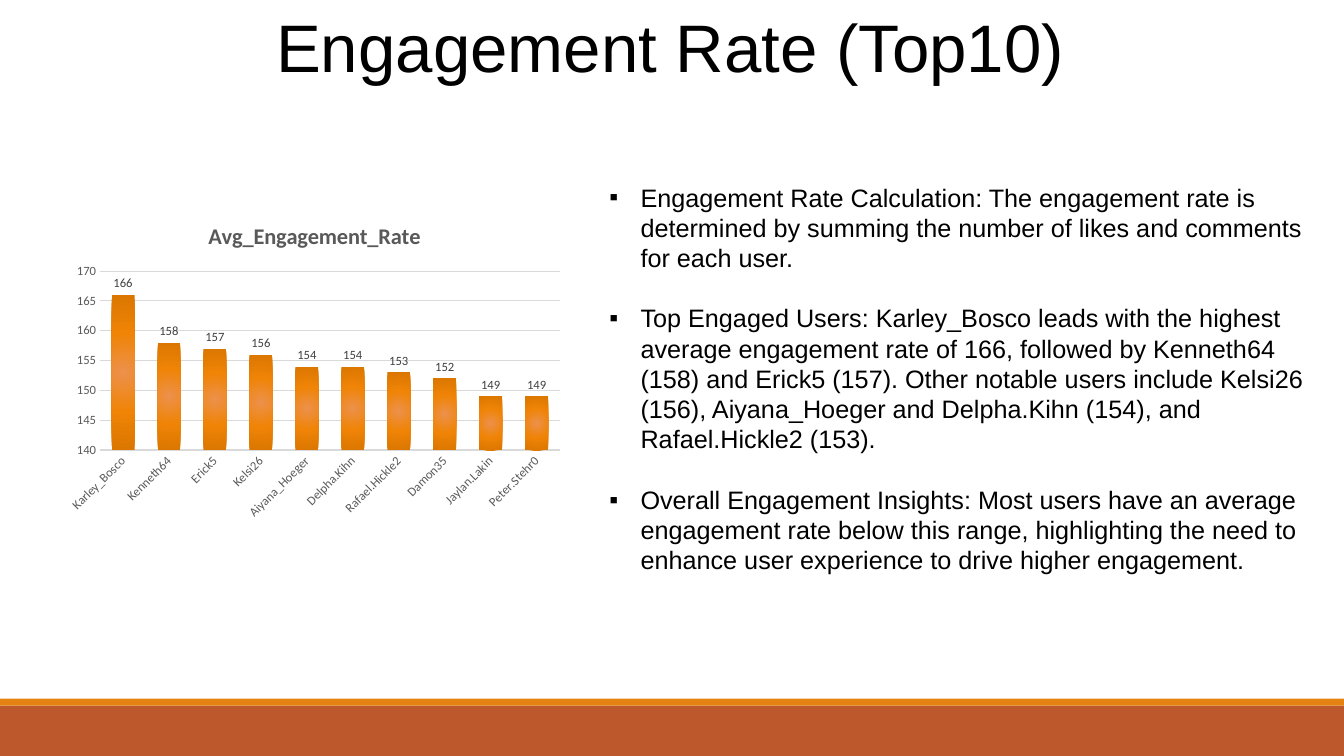
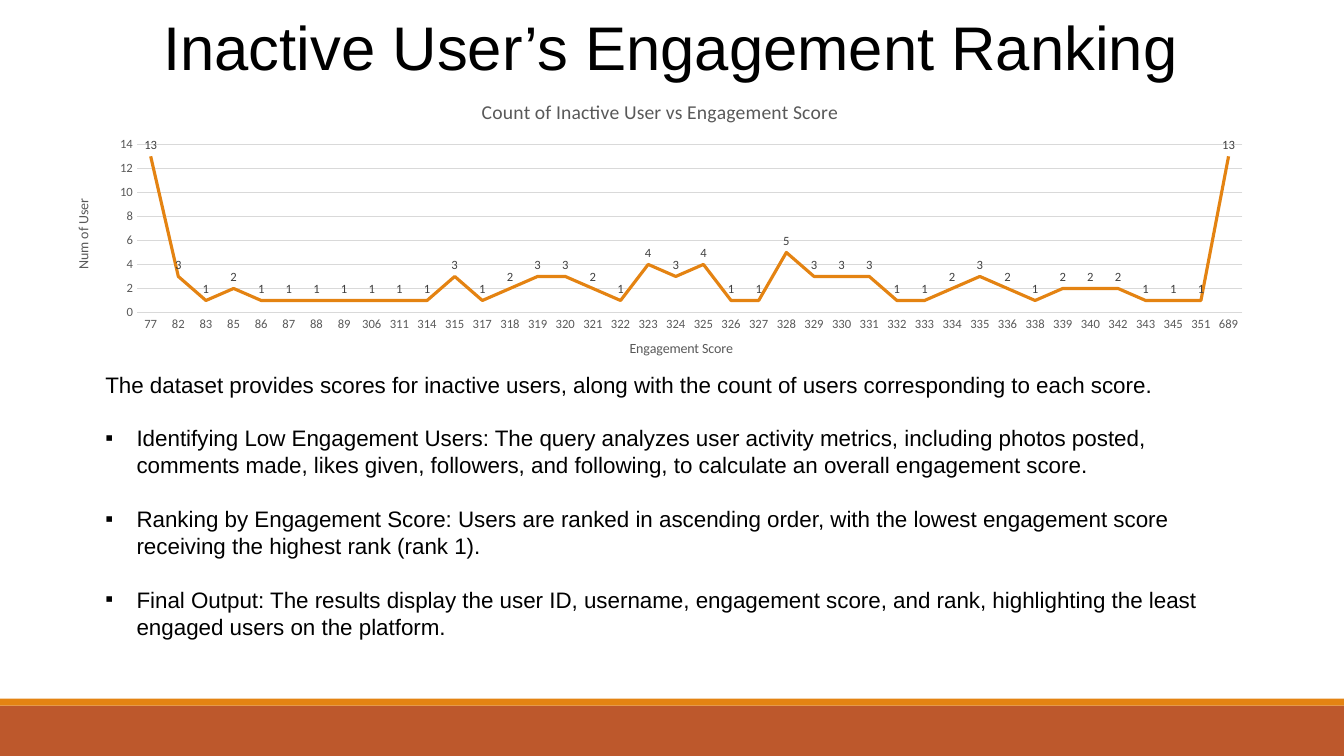
from dataclasses import dataclass

from pptx import Presentation, util as u
from pptx.chart.data import CategoryChartData
from pptx.dml.color import RGBColor
from pptx.enum import chart as charts, shapes, text
from pptx.oxml import parse_xml
from pptx.oxml.ns import nsdecls, qn

SLIDE_WIDTH, SLIDE_HEIGHT = u.Inches(13.33), u.Inches(7.5)
TITLE_ONLY = 5
TEXT_FONT, CHART_FONT = "Arial", "Calibri"
BLACK, ORANGE, RUST = "000000", "E48312", "BD582C"
AXIS_GREY, LABEL_GREY, GRID_GREY = "595959", "404040", "D9D9D9"
BAR_GRADIENT = ((0, "ED914C"), (50, "EF8407"), (100, "DB7600"))
BULLET = "▪"
BULLET_INDENT = u.Inches(0.31)
LINE_HEIGHT = 1.2


@dataclass(frozen=True)
class Box:
    """A frame in percent of the slide's width and height."""
    left: float
    top: float
    width: float
    height: float

    def lengths(self) -> tuple[int, int, int, int]:
        return (int(SLIDE_WIDTH * self.left / 100), int(SLIDE_HEIGHT * self.top / 100),
                int(SLIDE_WIDTH * self.width / 100), int(SLIDE_HEIGHT * self.height / 100))


@dataclass(frozen=True)
class Band:
    box: Box
    color: str


@dataclass(frozen=True)
class Title:
    words: str
    box: Box
    size: int


@dataclass(frozen=True)
class Body:
    box: Box
    size: int
    bullets: tuple[str, ...]
    intro: str = ""


@dataclass(frozen=True)
class Chart:
    kind: charts.XL_CHART_TYPE
    box: Box
    title: str
    title_size: int
    title_bold: bool
    categories: tuple[str, ...]
    values: tuple[int, ...]
    scale: tuple[int, int, int]
    label_position: charts.XL_LABEL_POSITION
    axis_line: float
    category_title: str = ""
    value_title: str = ""


@dataclass(frozen=True)
class Page:
    title: Title
    body: Body
    chart: Chart


BANDS = (
    Band(Box(0, 93.33, 100, 6.67), RUST),
    Band(Box(0, 92.4, 100, 0.93), ORANGE),
)

PAGES = (
    Page(
        Title("Engagement Rate (Top10)", Box(19.8, 0, 60.5, 12.1), 48),
        Body(Box(44.6, 23.4, 53.6, 53.9), 18, (
            "Engagement Rate Calculation: The engagement rate is determined by summing "
            "the number of likes and comments for each user.",
            "Top Engaged Users: Karley_Bosco leads with the highest average engagement "
            "rate of 166, followed by Kenneth64 (158) and Erick5 (157). Other notable "
            "users include Kelsi26 (156), Aiyana_Hoeger and Delpha.Kihn (154), and "
            "Rafael.Hickle2 (153).",
            "Overall Engagement Insights: Most users have an average engagement rate "
            "below this range, highlighting the need to enhance user experience to "
            "drive higher engagement.",
        )),
        Chart(
            charts.XL_CHART_TYPE.COLUMN_CLUSTERED, Box(4.4, 27.1, 38, 42.5),
            "Avg_Engagement_Rate", 16, True,
            ("Karley_Bosco", "Kenneth64", "Erick5", "Kelsi26", "Aiyana_Hoeger",
             "Delpha.Kihn", "Rafael.Hickle2", "Damon35", "Jaylan.Lakin", "Peter.Stehr0"),
            (166, 158, 157, 156, 154, 154, 153, 152, 149, 149),
            (140, 170, 5), charts.XL_LABEL_POSITION.OUTSIDE_END, 1,
        ),
    ),
    Page(
        Title("Inactive User’s Engagement Ranking", Box(11.4, 0.4, 77.2, 11.2), 44),
        Body(Box(7.1, 48.4, 85.7, 37.2), 16, (
            "Identifying Low Engagement Users: The query analyzes user activity metrics, "
            "including photos posted, comments made, likes given, followers, and "
            "following, to calculate an overall engagement score.",
            "Ranking by Engagement Score: Users are ranked in ascending order, with the "
            "lowest engagement score receiving the highest rank (rank 1).",
            "Final Output: The results display the user ID, username, engagement score, "
            "and rank, highlighting the least engaged users on the platform.",
        ), "The dataset provides scores for inactive users, along with the count of "
           "users corresponding to each score."),
        Chart(
            charts.XL_CHART_TYPE.LINE, Box(4, 11.1, 90.25, 38.9),
            "Count of Inactive User vs Engagement Score", 14, False,
            tuple("77 82 83 85 86 87 88 89 306 311 314 315 317 318 319 320 321 322 323 324 "
                  "325 326 327 328 329 330 331 332 333 334 335 336 338 339 340 342 343 345 "
                  "351 689".split()),
            (13, 3, 1, 2, 1, 1, 1, 1, 1, 1, 1, 3, 1, 2, 3, 3, 2, 1, 4, 3,
             4, 1, 1, 5, 3, 3, 3, 1, 1, 2, 3, 2, 1, 2, 2, 2, 1, 1, 1, 13),
            (0, 14, 2), charts.XL_LABEL_POSITION.ABOVE, 0.75,
            "Engagement Score", "Num of User",
        ),
    ),
)


def rgb(color: str) -> RGBColor:
    return RGBColor.from_string(color)


def style_font(font, name: str, size: float, color: str, bold: bool = False) -> None:
    font.name, font.size, font.bold = name, u.Pt(size), bold
    font.color.rgb = rgb(color)


def add_run(paragraph, words: str, name: str, size: float, color: str,
            bold: bool = False) -> None:
    run = paragraph.add_run()
    run.text = words
    style_font(run.font, name, size, color, bold)


def add_master_bands(presentation, slide) -> None:
    """Draw the bands on a slide, then move them to the master."""
    tree = presentation.slide_master.element.cSld.spTree
    for number, band in enumerate(BANDS, start=20):
        shape = slide.shapes.add_shape(shapes.MSO_SHAPE.RECTANGLE, *band.box.lengths())
        shape.shadow.inherit = False
        shape.fill.solid()
        shape.fill.fore_color.rgb = rgb(band.color)
        shape.line.fill.background()
        shape.element.nvSpPr.cNvPr.set("id", str(number))
        tree.append(shape.element)


def set_title(slide, title: Title) -> None:
    shape = slide.shapes.title
    shape.left, shape.top, shape.width, shape.height = title.box.lengths()
    frame = shape.text_frame
    frame.auto_size = text.MSO_AUTO_SIZE.NONE
    frame.vertical_anchor = text.MSO_ANCHOR.MIDDLE
    paragraph = frame.paragraphs[0]
    paragraph.alignment = text.PP_ALIGN.LEFT
    add_run(paragraph, title.words, TEXT_FONT, title.size, BLACK)


def add_bullet(paragraph) -> None:
    properties = paragraph._p.get_or_add_pPr()
    properties.set("marL", str(BULLET_INDENT))
    properties.set("indent", str(-BULLET_INDENT))
    properties.append(parse_xml(f'<a:buFont {nsdecls("a")} typeface="{TEXT_FONT}"/>'))
    properties.append(parse_xml(f'<a:buChar {nsdecls("a")} char="{BULLET}"/>'))


def add_body(slide, body: Body) -> None:
    frame = slide.shapes.add_textbox(*body.box.lengths()).text_frame
    frame.word_wrap = True
    line_height = u.Pt(body.size * LINE_HEIGHT)
    lines = ((body.intro,) if body.intro else ()) + body.bullets
    for index, words in enumerate(lines):
        paragraph = frame.add_paragraph() if index else frame.paragraphs[0]
        paragraph.line_spacing = line_height
        if index:
            paragraph.space_before = line_height
        if words != body.intro:
            add_bullet(paragraph)
        add_run(paragraph, words, TEXT_FONT, body.size, BLACK)


def style_axis(axis, title: str, rotation: int = 0) -> None:
    axis.major_tick_mark = axis.minor_tick_mark = charts.XL_TICK_MARK.NONE
    style_font(axis.tick_labels.font, CHART_FONT, 9, AXIS_GREY)
    axis.has_title = bool(title)
    if title:
        frame = axis.axis_title.text_frame
        add_run(frame.paragraphs[0], title, CHART_FONT, 10, AXIS_GREY)
        frame._txBody.bodyPr.set("rot", str(rotation))


def style_line(line, color: str, width: float) -> None:
    line.color.rgb = rgb(color)
    line.width = u.Pt(width)


def fill_radial(series) -> None:
    """Fill the bars with a gradient that spreads from their centre."""
    stops = "".join(f'<a:gs pos="{share * 1000}"><a:srgbClr val="{color}"/></a:gs>'
                    for share, color in BAR_GRADIENT)
    series._element.get_or_add_spPr().insert(0, parse_xml(
        f'<a:gradFill {nsdecls("a")} rotWithShape="1"><a:gsLst>{stops}</a:gsLst>'
        '<a:path path="circle"><a:fillToRect l="100000" t="100000" r="100000" b="100000"/>'
        '</a:path></a:gradFill>'))


def style_series(plot, spec: Chart) -> None:
    plot.vary_by_categories = False
    series = plot.series[0]
    if spec.kind == charts.XL_CHART_TYPE.LINE:
        series.smooth = False
        series.marker.style = charts.XL_MARKER_STYLE.NONE
        style_line(series.format.line, ORANGE, 2.25)
    else:
        plot.gap_width, plot.overlap = 100, -24
        series.invert_if_negative = False
        fill_radial(series)
    labels = series.data_labels
    labels.show_value = True
    labels.position = spec.label_position
    style_font(labels.font, CHART_FONT, 9, LABEL_GREY)


def add_chart(slide, spec: Chart) -> None:
    data = CategoryChartData()
    data.categories = spec.categories
    data.add_series("Series 1", spec.values)
    chart = slide.shapes.add_chart(spec.kind, *spec.box.lengths(), data).chart
    style_font(chart.font, CHART_FONT, 10, BLACK)
    chart.has_legend = False
    chart.has_title = True
    add_run(chart.chart_title.text_frame.paragraphs[0], spec.title, CHART_FONT,
            spec.title_size, AXIS_GREY, spec.title_bold)

    categories, values = chart.category_axis, chart.value_axis
    style_axis(categories, spec.category_title)
    style_line(categories.format.line, GRID_GREY, spec.axis_line)
    if spec.kind == charts.XL_CHART_TYPE.COLUMN_CLUSTERED:
        label_text = categories._element.find(qn("c:txPr"))
        label_text.find(qn("a:bodyPr")).set("rot", str(-45 * 60000))
    style_axis(values, spec.value_title, -90 * 60000)
    values.format.line.fill.background()
    values.minimum_scale, values.maximum_scale, values.major_unit = spec.scale
    style_line(values.major_gridlines.format.line, GRID_GREY, 0.75)
    style_series(chart.plots[0], spec)


def main() -> None:
    presentation = Presentation()
    presentation.slide_width, presentation.slide_height = SLIDE_WIDTH, SLIDE_HEIGHT
    layout = presentation.slide_layouts[TITLE_ONLY]
    for index, page in enumerate(PAGES):
        slide = presentation.slides.add_slide(layout)
        if index == 0:
            add_master_bands(presentation, slide)
        set_title(slide, page.title)
        add_chart(slide, page.chart)
        add_body(slide, page.body)
    presentation.save("out.pptx")


if __name__ == "__main__":
    main()
